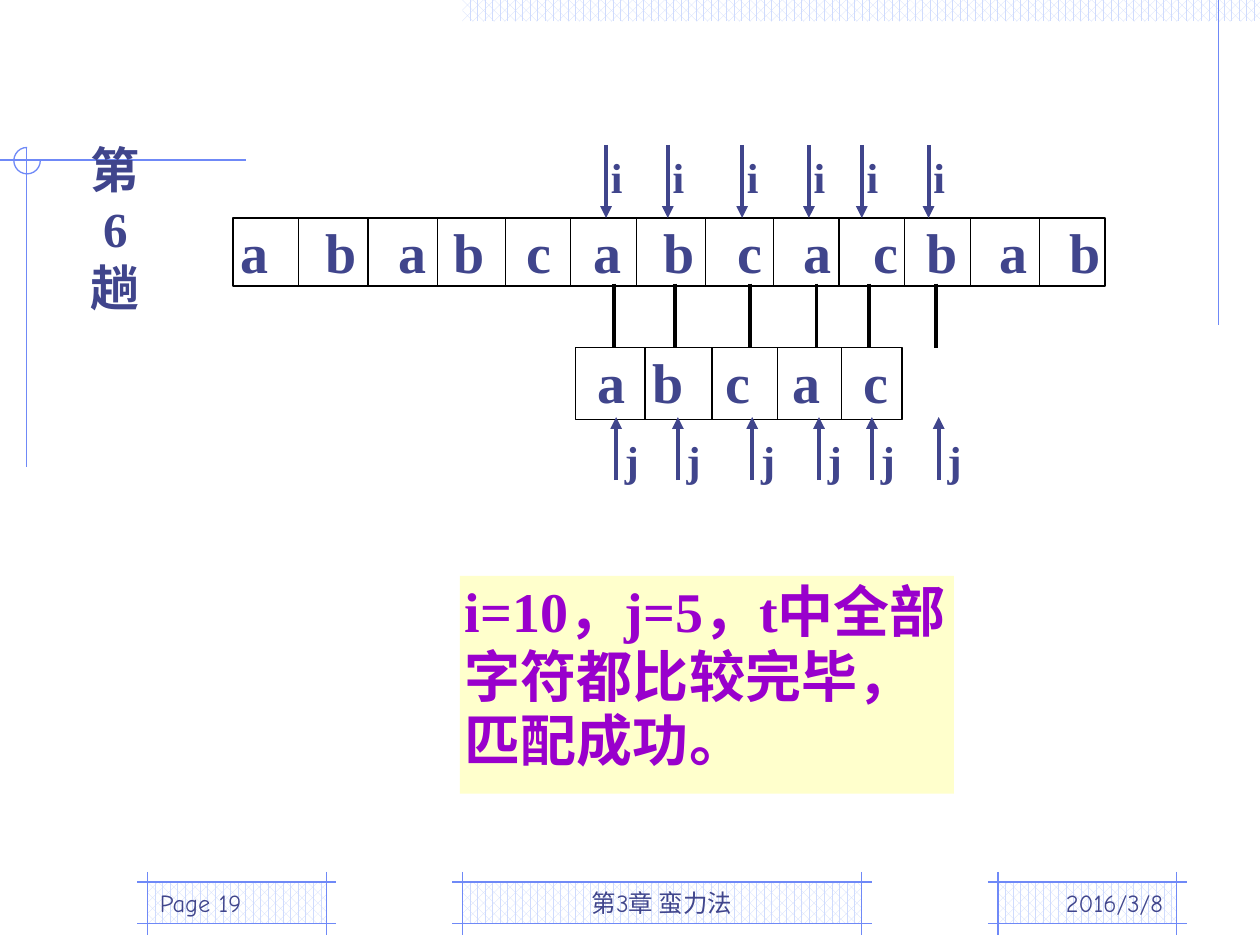
import pptx
import pptx.util
import pptx.dml.color
import pptx.enum.dml
import pptx.enum.shapes
import pptx.enum.text
import pptx.oxml
import pptx.oxml.ns

Inches, Pt = pptx.util.Inches, pptx.util.Pt
RGBColor = pptx.dml.color.RGBColor
SHAPE = pptx.enum.shapes.MSO_SHAPE
ALIGN = pptx.enum.text.PP_ALIGN
ANCHOR = pptx.enum.text.MSO_ANCHOR
AUTO = pptx.enum.text.MSO_AUTO_SIZE

INDIGO = RGBColor(0x40, 0x45, 0x8C)
BLUE = RGBColor(0x6F, 0x89, 0xF7)
PALE_BLUE = RGBColor(0xCF, 0xDB, 0xFD)
PURPLE = RGBColor(0x99, 0x00, 0xCC)
CREAM = RGBColor(0xFF, 0xFF, 0xCC)
BLACK = RGBColor(0, 0, 0)
WHITE = RGBColor(0xFF, 0xFF, 0xFF)
SERIF, HAND = "Times New Roman", "Comic Neue"
INSETS = (0.1, 0.05, 0.1, 0.05)

# Content
PASS_LABEL = "第6趟"
RESULT = "i=10，j=5，t中全部字符都比较完毕，匹配成功。"
# Footer: text, alignment, text left, text width, frame left, frame width
FOOTERS = [
    ("2016/3/8", ALIGN.RIGHT, 7.25, 2.08, 7.92, 1.42),
    ("第3章 蛮力法", ALIGN.CENTER, 3.67, 3.17, 3.67, 3.17),
    ("Page 19", ALIGN.LEFT, 1.17, 2.08, 1.17, 1.42),
]
# Strings: box, letters, left edge of each letter, cell dividers
STRINGS = [
    ((1.85, 1.73, 6.92, 0.54), "ababcabcacbab",
     [1.91, 2.58, 3.16, 3.6, 4.18, 4.71, 5.27, 5.85, 6.38, 6.93, 7.35, 7.93, 8.49],
     [2.37, 2.92, 3.47, 4.01, 4.53, 5.05, 5.6, 6.14, 6.66, 7.18, 7.7, 8.25]),
    ((4.57, 2.76, 2.59, 0.57), "abcac",
     [4.74, 5.18, 5.76, 6.29, 6.85],
     [5.12, 5.65, 6.17, 6.68]),
]
COMPARISONS = [4.81, 5.3, 5.89, 6.42, 6.84, 7.37]

deck = pptx.Presentation()
deck.slide_width, deck.slide_height = Inches(10), Inches(7.5)
slide = deck.slides.add_slide(deck.slide_layouts[6])


def add_line(x1, y1, x2, y2, color, width=0.75, arrow=False):
    line = slide.shapes.add_connector(
        pptx.enum.shapes.MSO_CONNECTOR.STRAIGHT,
        Inches(x1), Inches(y1), Inches(x2), Inches(y2))
    line.line.color.rgb = color
    line.line.width = Pt(width)
    if arrow:
        tail = pptx.oxml.parse_xml(
            '<a:tailEnd %s type="triangle"/>' % pptx.oxml.ns.nsdecls("a"))
        line.line._get_or_add_ln().append(tail)
    line._element.spPr.append(
        pptx.oxml.parse_xml("<a:effectLst %s/>" % pptx.oxml.ns.nsdecls("a")))


def add_box(box, kind=SHAPE.RECTANGLE, fill=None, line=None):
    shape = slide.shapes.add_shape(kind, *map(Inches, box))
    shape.shadow.inherit = False
    if fill is None:
        shape.fill.background()
    else:
        shape.fill.solid()
        shape.fill.fore_color.rgb = fill
    if line is None:
        shape.line.fill.background()
    else:
        shape.line.color.rgb = line
        shape.line.width = Pt(0.75)
    return shape


def add_band(box):
    band = add_box(box)
    band.fill.patterned()
    band.fill.pattern = pptx.enum.dml.MSO_PATTERN.PERCENT_60
    band.fill.fore_color.rgb = PALE_BLUE
    band.fill.back_color.rgb = WHITE


def write(shape, text, size, color=INDIGO, font=SERIF, bold=True,
          align=ALIGN.LEFT, insets=INSETS, anchor=ANCHOR.TOP, tabs=()):
    frame = shape.text_frame
    frame.word_wrap = True
    frame.vertical_anchor = anchor
    (frame.margin_left, frame.margin_top,
     frame.margin_right, frame.margin_bottom) = map(Inches, insets)
    frame.text = text
    paragraph = frame.paragraphs[0]
    paragraph.alignment = align
    if tabs:
        stops = "".join('<a:tab pos="%d" algn="l"/>' % Inches(t) for t in tabs)
        paragraph._p.get_or_add_pPr().append(pptx.oxml.parse_xml(
            "<a:tabLst %s>%s</a:tabLst>" % (pptx.oxml.ns.nsdecls("a"), stops)))
    for run in paragraph.runs:
        run.font.size, run.font.bold, run.font.name = Pt(size), bold, font
        run.font.color.rgb = color
    return paragraph


def add_label(box, text, size, grow=True, **style):
    label = slide.shapes.add_textbox(*map(Inches, box))
    write(label, text, size, **style)
    if grow:
        label.text_frame.auto_size = AUTO.SHAPE_TO_FIT_TEXT


# Background bands, footer frames and corner ornaments
add_band((3.67, 0, 6.33, 0.17))
for *_, left, width in FOOTERS:
    add_band((left, 7, width, 0.33))
    for y in (7, 7.33):
        add_line(left - 0.08, y, left + width + 0.08, y, BLUE)
    for x in (left, left + width):
        add_line(x, 6.92, x, 7.42, BLUE)
add_line(9.67, 0, 9.67, 2.58, BLUE)
add_line(1.95, 1.27, 0, 1.27, BLUE)
add_line(0.21, 1.17, 0.21, 3.71, BLUE)
ring = add_box((0.11, 1.17, 0.21, 0.21), SHAPE.ARC, line=BLUE)
ring.adjustments[0], ring.adjustments[1] = 0, 162  # 0 to 270 degrees

# Footer text
for text, align, left, width, *_ in FOOTERS:
    add_label((left, 6.83, width, 0.5), text, 14, grow=False, font=HAND,
              bold=False, align=align, anchor=ANCHOR.BOTTOM)

add_label((0.58, 1.06, 0.67, 1.51), PASS_LABEL, 28, align=ALIGN.CENTER)

# Text string and pattern string, letters set on tab stops
for box, letters, lefts, dividers in STRINGS:
    left, top, width, height = box
    write(add_box(box, line=BLACK), "\t".join(letters), 32,
          insets=(lefts[0] - left, 0, 0, 0),
          tabs=[x - lefts[0] for x in lefts[1:]])
    for x in dividers:
        add_line(x, top, x, top + height, BLACK)

# Conclusion
result = write(add_box((3.65, 4.57, 3.92, 1.73), fill=CREAM), RESULT, 32,
               color=PURPLE, insets=(0.04,) * 4)
result.line_spacing = 0.96

# Each comparison: match bar, i pointer above, j pointer below
for x in COMPARISONS:
    add_line(x + 0.06, 2.25, x + 0.06, 2.76, BLACK, 2.25)
    add_line(x, 1.15, x, 1.73, INDIGO, 2.25, arrow=True)
    add_label((x - 0.06, 1.15, 0.25, 0.5), "i", 24)
    add_line(x + 0.08, 3.81, x + 0.08, 3.31, INDIGO, 2.25, arrow=True)
    add_label((x + 0.15, 3.4, 0.18, 0.5), "j", 24, insets=(0, 0.05, 0, 0.05))

deck.save("out.pptx")
